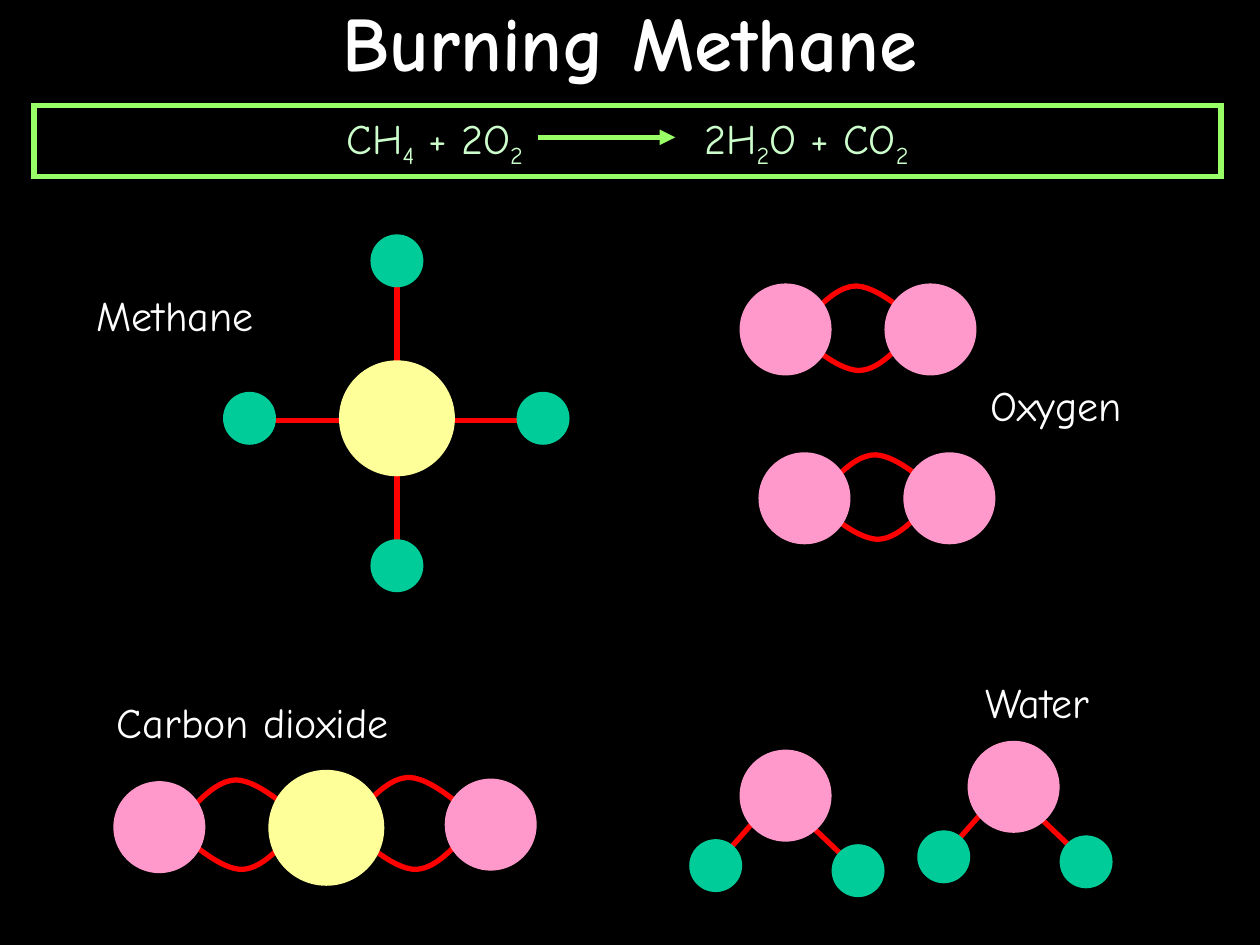
from dataclasses import dataclass

from lxml.etree import SubElement
from pptx import Presentation
from pptx.dml.color import RGBColor
from pptx.enum.shapes import MSO_CONNECTOR, MSO_SHAPE
from pptx.enum.text import MSO_ANCHOR, PP_ALIGN
from pptx.oxml.ns import qn
from pptx.util import Inches, Pt


@dataclass(frozen=True)
class Theme:
    font: str = "Comic Neue"
    background: str = "000000"
    text: str = "FFFFFF"
    formula: str = "CCFFCC"
    frame: str = "99FF66"
    bond: str = "FF0000"
    carbon: str = "FFFF99"
    hydrogen: str = "00CC99"
    oxygen: str = "FF99CC"
    title_size: int = 44
    body_size: int = 24
    line_width: int = 3


THEME = Theme()
CARBON_SIZE, HYDROGEN_SIZE, OXYGEN_SIZE = 0.92, 0.42, 0.73

# Two cubic curves that make one arched bond: start, then control, control, end
ARCH = [(0, 0.28), (0.13, 0.14), (0.26, 0), (0.41, 0),
        (0.56, 0.01), (0.73, 0.15), (0.9, 0.29)]


class SlideBuilder:
    def __init__(self, slide, theme):
        self.slide = slide
        self.theme = theme
        fill = slide.background.fill
        fill.solid()
        fill.fore_color.rgb = RGBColor.from_string(theme.background)

    def style_line(self, line, color):
        line.color.rgb = RGBColor.from_string(color)
        line.width = Pt(self.theme.line_width)
        SubElement(line._get_or_add_ln(), qn("a:miter"), lim="800000")

    def style_font(self, font, size, color, bold=False):
        font.name = self.theme.font
        font.size = Pt(size)
        font.bold = bold
        font.color.rgb = RGBColor.from_string(color)

    def text(self, text, left, top, width, height, size, align=PP_ALIGN.LEFT,
             anchor=MSO_ANCHOR.TOP, bold=False):
        box = self.slide.shapes.add_textbox(*map(Inches, (left, top, width, height)))
        frame = box.text_frame
        frame.word_wrap = True
        frame.vertical_anchor = anchor
        frame.text = text
        paragraph = frame.paragraphs[0]
        paragraph.alignment = align
        self.style_font(paragraph.runs[0].font, size, self.theme.text, bold)

    def label(self, text, left, top, width):
        self.text(text, left, top, width, 0.5, self.theme.body_size)

    def equation(self, parts, left, top, width, height, indent, tab):
        """Framed formula; parts are (text, is_subscript) pairs."""
        shape = self.slide.shapes.add_shape(
            MSO_SHAPE.RECTANGLE, *map(Inches, (left, top, width, height)))
        shape.shadow.inherit = False
        shape.fill.background()
        self.style_line(shape.line, self.theme.frame)
        frame = shape.text_frame
        frame.word_wrap = True
        frame.vertical_anchor = MSO_ANCHOR.TOP
        frame.margin_left = Inches(indent)
        paragraph = frame.paragraphs[0]
        paragraph.alignment = PP_ALIGN.LEFT
        tabs = SubElement(paragraph._p.get_or_add_pPr(), qn("a:tabLst"))
        SubElement(tabs, qn("a:tab"), pos=str(Inches(tab)), algn="l")
        for text, is_subscript in parts:
            run = paragraph.add_run()
            run.text = text
            self.style_font(run.font, self.theme.body_size, self.theme.formula)
            if is_subscript:
                run._r.get_or_add_rPr().set("baseline", "-25000")

    def line(self, start, end, color, arrow=False):
        connector = self.slide.shapes.add_connector(
            MSO_CONNECTOR.STRAIGHT, *map(Inches, (*start, *end)))
        self.style_line(connector.line, color)
        if arrow:
            SubElement(connector.line._get_or_add_ln(), qn("a:tailEnd"), type="triangle")
        SubElement(connector._element.spPr, qn("a:effectLst"))

    def bond(self, start, end):
        self.line(start, end, self.theme.bond)

    def arched_bond(self, left, top, rotation=0):
        points = [(Inches(left + x), Inches(top + y)) for x, y in ARCH]
        builder = self.slide.shapes.build_freeform(*points[0])
        builder.add_line_segments(points[1:], close=False)
        shape = builder.convert_to_shape()
        # Turn every three straight segments into one cubic curve
        segments = list(shape._element.iter(qn("a:lnTo")))
        outline = segments[0].getparent()
        for start in range(0, len(segments), 3):
            curve = SubElement(outline, qn("a:cubicBezTo"))
            for segment in segments[start:start + 3]:
                curve.append(segment[0])
                outline.remove(segment)
        shape.rotation = rotation
        shape.shadow.inherit = False
        shape.fill.background()
        self.style_line(shape.line, self.theme.bond)

    def double_bond(self, lower, upper):
        self.arched_bond(*lower, rotation=180)
        self.arched_bond(*upper)

    def atom(self, left, top, size, color):
        shape = self.slide.shapes.add_shape(
            MSO_SHAPE.OVAL, *map(Inches, (left, top, size, size)))
        shape.shadow.inherit = False
        shape.fill.solid()
        shape.fill.fore_color.rgb = RGBColor.from_string(color)
        shape.line.fill.background()

    def carbon(self, left, top):
        self.atom(left, top, CARBON_SIZE, self.theme.carbon)

    def hydrogen(self, left, top):
        self.atom(left, top, HYDROGEN_SIZE, self.theme.hydrogen)

    def oxygen(self, left, top):
        self.atom(left, top, OXYGEN_SIZE, self.theme.oxygen)

    def oxygen_molecule(self, left, top):
        self.double_bond((left + 0.45, top + 0.4), (left + 0.52, top + 0.02))
        self.oxygen(left, top)
        self.oxygen(left + 1.15, top)

    def water_molecule(self, left, top):
        self.bond((left + 0.46, top + 0.5), (left + 0.94, top + 0.96))
        self.bond((left - 0.23, top + 0.96), (left + 0.21, top + 0.46))
        self.hydrogen(left + 0.73, top + 0.75)
        self.hydrogen(left - 0.4, top + 0.71)
        self.oxygen(left, top)


def main():
    presentation = Presentation()
    presentation.slide_width, presentation.slide_height = Inches(10), Inches(7.5)
    builder = SlideBuilder(presentation.slides.add_slide(presentation.slide_layouts[6]), THEME)

    # Title
    builder.text("Burning Methane", 0, 0, 10, 0.64, THEME.title_size,
                 PP_ALIGN.CENTER, MSO_ANCHOR.MIDDLE, bold=True)

    # Equation with its reaction arrow
    parts = [("CH", False), ("4", True), (" + 2O", False), ("2", True),
             ("\t2H", False), ("2", True), ("O + CO", False), ("2", True)]
    builder.equation(parts, 0.27, 0.84, 9.42, 0.56, indent=2.48, tab=2.84)
    builder.line((4.27, 1.09), (5.36, 1.09), THEME.frame, arrow=True)

    # Methane
    for start, end in [((2.06, 3.34), (2.9, 3.34)), ((3.15, 4.36), (3.15, 3.61)),
                       ((3.5, 3.34), (4.23, 3.34)), ((3.15, 2.98), (3.15, 2.23))]:
        builder.bond(start, end)
    builder.carbon(2.69, 2.86)
    for left, top in [(2.94, 1.86), (2.94, 4.28), (1.77, 3.11), (4.1, 3.11)]:
        builder.hydrogen(left, top)
    builder.label("Methane", 0.67, 2.25, 2.44)

    # Carbon dioxide
    builder.double_bond((1.42, 6.61), (1.47, 6.19))
    builder.double_bond((2.8, 6.61), (2.84, 6.17))
    builder.carbon(2.13, 6.11)
    builder.oxygen(0.9, 6.2)
    builder.oxygen(3.53, 6.18)
    builder.label("Carbon dioxide", 0.83, 5.48, 3.62)

    # Water
    builder.water_molecule(5.87, 5.95)
    builder.water_molecule(7.68, 5.88)
    builder.label("Water", 7.72, 5.32, 1.53)

    # Oxygen
    builder.label("Oxygen", 7.76, 2.96, 2.12)
    builder.oxygen_molecule(5.87, 2.25)
    builder.oxygen_molecule(6.02, 3.59)

    presentation.save("out.pptx")


if __name__ == "__main__":
    main()
